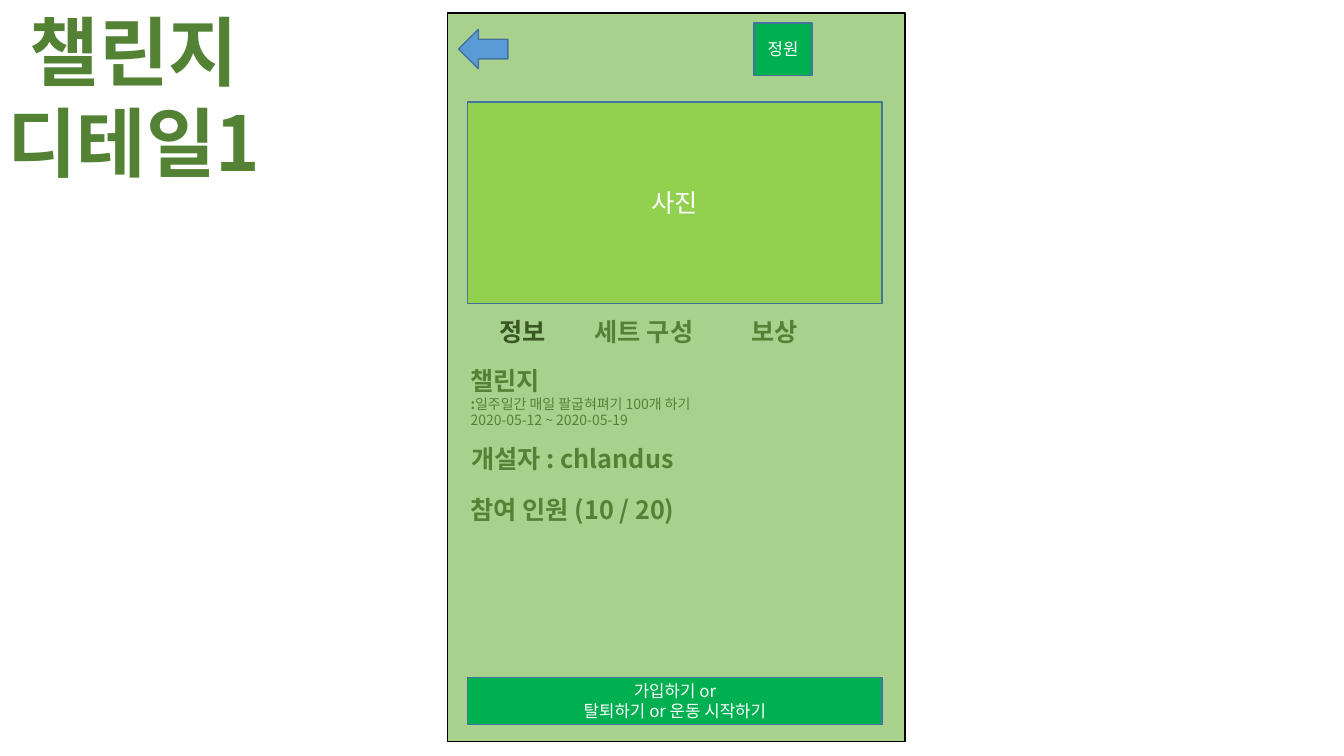
from dataclasses import dataclass

from lxml.etree import SubElement
from pptx import Presentation
from pptx.dml.color import RGBColor
from pptx.enum.shapes import MSO_SHAPE as Preset
from pptx.enum.text import MSO_ANCHOR as Anchor, MSO_AUTO_SIZE as AutoSize, PP_ALIGN as Align
from pptx.oxml.ns import qn
from pptx.util import Cm, Pt


@dataclass(frozen=True)
class Theme:
    font: str = "Noto Sans CJK KR"
    screen: str = "A9D18E"
    photo: str = "92D050"
    button: str = "00B050"
    arrow: str = "5B9BD5"
    outline: str = "43739E"
    black: str = "000000"
    white: str = "FFFFFF"
    text: str = "548235"
    active: str = "385723"
    title_size: int = 54
    heading_size: int = 18
    button_size: int = 12
    detail_size: int = 10


THEME = Theme()


@dataclass(frozen=True)
class Area:
    left: float
    top: float
    width: float
    height: float

    def lengths(self) -> tuple[Cm, Cm, Cm, Cm]:
        return Cm(self.left), Cm(self.top), Cm(self.width), Cm(self.height)


@dataclass(frozen=True)
class Run:
    text: str
    size: int = THEME.heading_size
    color: str = THEME.text
    bold: bool = True


@dataclass(frozen=True)
class Panel:
    area: Area
    fill: str
    lines: tuple[str, ...] = ()
    size: int = THEME.button_size
    outline: str = THEME.outline
    preset: Preset = Preset.RECTANGLE
    rotation: int = 0


@dataclass(frozen=True)
class Label:
    area: Area
    lines: tuple[tuple[Run, ...], ...]
    align: Align = Align.LEFT
    tab_stops: tuple[float, ...] = ()


PANELS = (
    Panel(Area(11.28, 0.33, 11.53, 18.36), THEME.screen, outline=THEME.black),
    Panel(Area(11.79, 2.57, 10.44, 5.08), THEME.photo, ("사진",), THEME.heading_size),
    Panel(Area(19, 0.58, 1.47, 1.32), THEME.button, ("정원",)),
    Panel(Area(11.79, 17.07, 10.44, 1.19), THEME.button,
          ("가입하기 or", "탈퇴하기 or 운동 시작하기")),
    Panel(Area(11.56, 0.74, 1.24, 0.99), THEME.arrow,
          preset=Preset.RIGHT_ARROW, rotation=180),
)

LABELS = (
    Label(Area(-0.64, 0, 8.03, 4.88),
          ((Run("챌린지", THEME.title_size),), (Run("디테일1", THEME.title_size),)),
          Align.CENTER),
    Label(Area(12.34, 7.85, 9.88, 1.02),
          ((Run("정보", color=THEME.active), Run("\t세트 구성\t보상")),),
          tab_stops=(2.4, 6.35)),
    Label(Area(11.61, 9.07, 8.59, 1.88), (
        (Run("챌린지"),),
        (Run(":", THEME.detail_size),
         Run("일주일간 매일 팔굽혀펴기 100개 하기", THEME.detail_size, bold=False)),
        (Run("2020-05-12 ~ 2020-05-19", THEME.detail_size, bold=False),),
    )),
    Label(Area(11.63, 11.05, 8.59, 1.02), ((Run("개설자 : chlandus"),),)),
    Label(Area(11.61, 12.32, 8.59, 1.02), ((Run("참여 인원 (10 / 20)"),),)),
)


def add_text(paragraph, text: str, *, size: int, color: str, bold: bool = False) -> None:
    run = paragraph.add_run()
    run.text = text
    run.font.name = THEME.font
    run.font.size = Pt(size)
    run.font.bold = bold
    run.font.color.rgb = RGBColor.from_string(color)
    SubElement(run.font._element, qn("a:ea"), typeface=THEME.font)


def add_lines(frame, lines: tuple[tuple[Run, ...], ...], align: Align) -> None:
    for index, runs in enumerate(lines):
        paragraph = frame.add_paragraph() if index else frame.paragraphs[0]
        paragraph.alignment = align
        for run in runs:
            add_text(paragraph, run.text, size=run.size, color=run.color, bold=run.bold)


def add_tab_stops(paragraph, positions: tuple[float, ...]) -> None:
    tab_list = SubElement(paragraph._p.get_or_add_pPr(), qn("a:tabLst"))
    for position in positions:
        SubElement(tab_list, qn("a:tab"), pos=str(int(Cm(position))), algn="l")


def draw_panel(slide, panel: Panel) -> None:
    shape = slide.shapes.add_shape(panel.preset, *panel.area.lengths())
    shape.shadow.inherit = False
    shape.rotation = panel.rotation
    shape.fill.solid()
    shape.fill.fore_color.rgb = RGBColor.from_string(panel.fill)
    shape.line.color.rgb = RGBColor.from_string(panel.outline)
    shape.line.width = Pt(1)
    shape.text_frame.vertical_anchor = Anchor.MIDDLE
    lines = tuple((Run(text, panel.size, THEME.white, False),) for text in panel.lines)
    add_lines(shape.text_frame, lines, Align.CENTER)


def draw_label(slide, label: Label) -> None:
    frame = slide.shapes.add_textbox(*label.area.lengths()).text_frame
    frame.word_wrap = True
    frame.auto_size = AutoSize.SHAPE_TO_FIT_TEXT
    add_lines(frame, label.lines, label.align)
    if label.tab_stops:
        add_tab_stops(frame.paragraphs[0], label.tab_stops)


def main() -> None:
    presentation = Presentation()
    presentation.slide_width = Cm(33.87)
    presentation.slide_height = Cm(19.05)
    slide = presentation.slides.add_slide(presentation.slide_layouts[6])
    for panel in PANELS:
        draw_panel(slide, panel)
    for label in LABELS:
        draw_label(slide, label)
    presentation.save("out.pptx")


if __name__ == "__main__":
    main()
